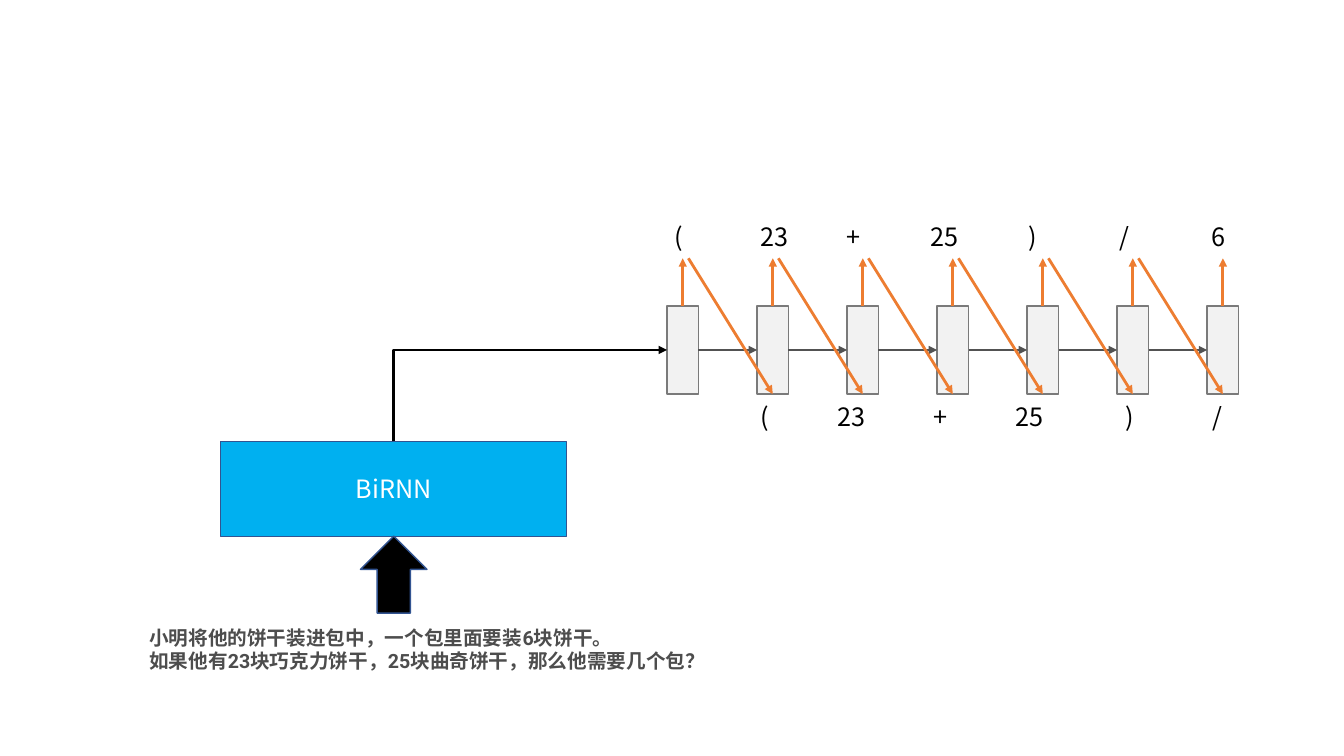
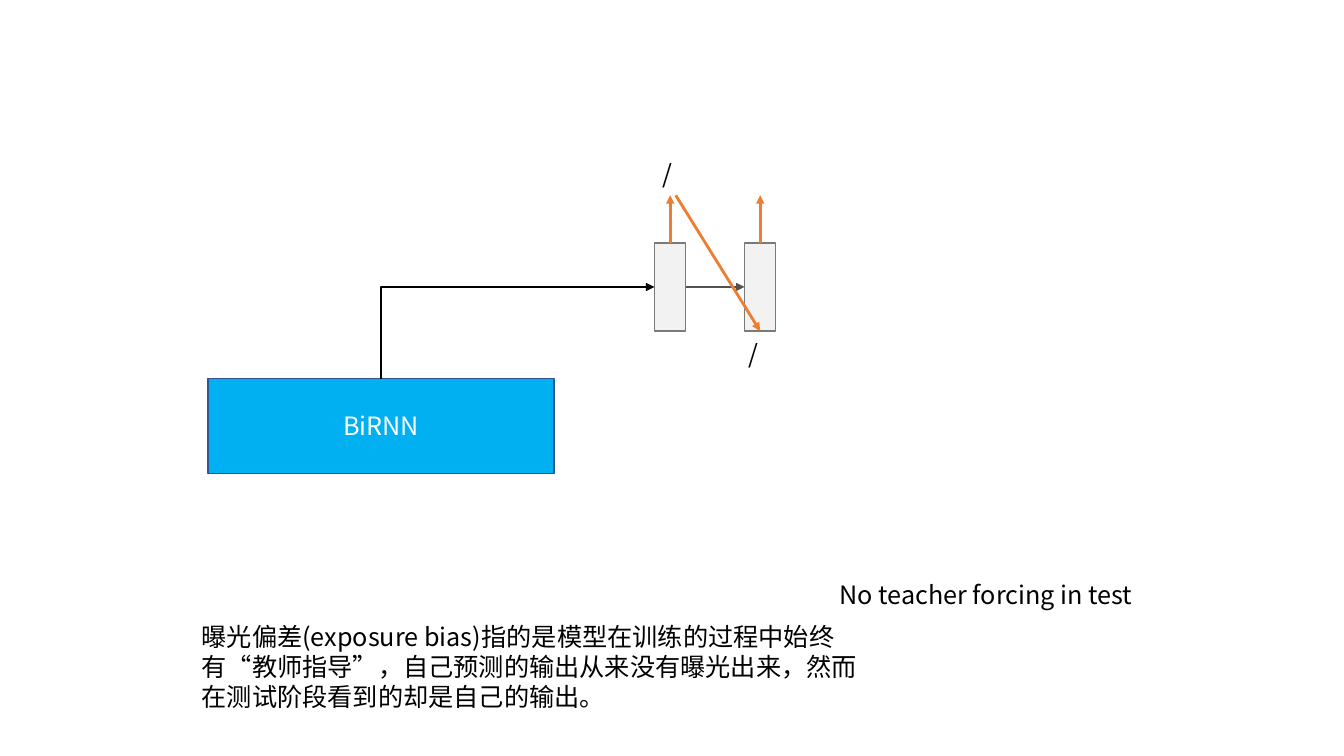
from lxml.etree import SubElement
from pptx import Presentation
from pptx.dml.color import RGBColor
from pptx.enum.lang import MSO_LANGUAGE_ID
from pptx.enum.shapes import MSO_CONNECTOR, MSO_SHAPE
from pptx.enum.text import MSO_ANCHOR, PP_ALIGN
from pptx.oxml.ns import qn
from pptx.util import Pt

BLACK = RGBColor(0x00, 0x00, 0x00)
WHITE = RGBColor(0xFF, 0xFF, 0xFF)
BLUE = RGBColor(0x00, 0xB0, 0xF0)
NAVY = RGBColor(0x32, 0x54, 0x91)
PALE_GRAY = RGBColor(0xF2, 0xF2, 0xF2)
MID_GRAY = RGBColor(0x7A, 0x7A, 0x7A)
DARK_GRAY = RGBColor(0x52, 0x52, 0x52)
TEXT_GRAY = RGBColor(0x4D, 0x4D, 0x4D)
ORANGE = RGBColor(0xED, 0x7D, 0x31)
FONT = "Noto Sans CJK SC"

ENCODER_LEFT, ENCODER_TOP, ENCODER_WIDTH, ENCODER_HEIGHT = 157.7, 315.4, 247, 67.7
CELL_LEFT, CELL_TOP, CELL_WIDTH, CELL_HEIGHT = 476.5, 218.5, 22.4, 63
CELL_STEP = 64.3
ARROW_RISE = 34
TOKEN_WIDTH, TOKEN_HEIGHT = 64, 30
OUTPUT_TOP, INPUT_TOP = 154.5, 283


def write(frame, text, size=18, font=FONT, color=BLACK, bold=False, align=PP_ALIGN.LEFT):
    """Fill a text frame, one paragraph for each line of text."""
    frame.word_wrap = True
    for number, line in enumerate(text.split("\n")):
        para = frame.add_paragraph() if number else frame.paragraphs[0]
        para.alignment = align
        span = para.add_run()
        span.text = line
        span.font.size = Pt(size)
        span.font.bold = bold
        span.font.color.rgb = color
        span.font.name = font
        span.font.language_id = MSO_LANGUAGE_ID.SIMPLIFIED_CHINESE
        properties = span.font._element
        SubElement(properties, qn("a:ea")).set("typeface", FONT)


def style(item, line, width=1, fill=None):
    """Style a filled shape, or an arrow when there is no fill."""
    item.line.color.rgb = line
    item.line.width = Pt(width)
    if fill is not None:
        item.shadow.inherit = False
        item.fill.solid()
        item.fill.fore_color.rgb = fill
    else:
        properties = item._element.spPr
        SubElement(properties.find(qn("a:ln")), qn("a:tailEnd")).set("type", "triangle")
        SubElement(properties, qn("a:effectLst"))


deck = Presentation()
deck.slide_width, deck.slide_height = Pt(960), Pt(540)

# Each diagram: shift right, shift down, cell count, tokens with their centres.
diagrams = [
    (0, 0, 7,
     [("(", 484.5), ("23", 553), ("+", 610), ("25", 674.5), (")", 738), ("/", 803.5), ("6", 870.5)],
     [("(", 546.5), ("23", 608.5), ("+", 671.5), ("25", 735.5), (")", 807), ("/", 869.5)]),
    (-9, -45, 2, [("/", 485.5)], [("/", 547)]),
]

pages = []
for right, down, cell_count, outputs, inputs in diagrams:
    page = deck.slides.add_slide(deck.slide_layouts[6])
    pages.append(page)
    shapes = page.shapes

    encoder = shapes.add_shape(MSO_SHAPE.RECTANGLE, Pt(ENCODER_LEFT + right), Pt(ENCODER_TOP + down),
                               Pt(ENCODER_WIDTH), Pt(ENCODER_HEIGHT))
    style(encoder, NAVY, fill=BLUE)
    encoder.text_frame.vertical_anchor = MSO_ANCHOR.MIDDLE
    write(encoder.text_frame, "BiRNN", color=WHITE, align=PP_ALIGN.CENTER)

    cells = []
    cell_top = CELL_TOP + down
    for index in range(cell_count):
        cell = shapes.add_shape(MSO_SHAPE.RECTANGLE, Pt(CELL_LEFT + right + index * CELL_STEP),
                                Pt(cell_top), Pt(CELL_WIDTH), Pt(CELL_HEIGHT))
        style(cell, MID_GRAY, fill=PALE_GRAY)
        cells.append(cell)

    # The elbow is a quarter-turned bentConnector2: up from the encoder, then right.
    elbow = shapes.add_connector(MSO_CONNECTOR.ELBOW, 0, 0, 0, 0)
    elbow.begin_connect(encoder, 0)
    elbow.end_connect(cells[0], 1)
    run, rise = elbow.width, elbow.height
    elbow.left += (run - rise) // 2
    elbow.top -= (run - rise) // 2
    elbow.width, elbow.height = rise, run
    frame = elbow._element.spPr.find(qn("a:xfrm"))
    for name, value in (("rot", "5400000"), ("flipH", "1"), ("flipV", "1")):
        frame.set(name, value)
    elbow._element.spPr.find(qn("a:prstGeom")).set("prst", "bentConnector2")
    style(elbow, BLACK, 2)

    for index, cell in enumerate(cells):
        center = Pt(CELL_LEFT + right + index * CELL_STEP + CELL_WIDTH / 2)
        tip = Pt(cell_top - ARROW_RISE)
        output_arrow = shapes.add_connector(MSO_CONNECTOR.STRAIGHT, center, Pt(cell_top), center, tip)
        output_arrow.begin_connect(cell, 0)
        style(output_arrow, ORANGE, 2)
        if index + 1 < cell_count:
            following = cells[index + 1]
            state_arrow = shapes.add_connector(MSO_CONNECTOR.STRAIGHT, 0, 0, 0, 0)
            state_arrow.begin_connect(cell, 3)
            state_arrow.end_connect(following, 1)
            style(state_arrow, DARK_GRAY, 2)
            feedback_arrow = shapes.add_connector(MSO_CONNECTOR.STRAIGHT, center + Pt(4), tip,
                                                  following.left, following.top)
            feedback_arrow.end_connect(following, 2)
            style(feedback_arrow, ORANGE, 2)

    for top, tokens in ((OUTPUT_TOP, outputs), (INPUT_TOP, inputs)):
        for token, center in tokens:
            box = shapes.add_textbox(Pt(center + right - TOKEN_WIDTH / 2), Pt(top + down),
                                     Pt(TOKEN_WIDTH), Pt(TOKEN_HEIGHT))
            write(box.text_frame, token, align=PP_ALIGN.CENTER)

training, testing = pages

question_arrow = training.shapes.add_shape(MSO_SHAPE.UP_ARROW, Pt(257.5), Pt(383), Pt(47.5), Pt(55))
style(question_arrow, NAVY, fill=BLACK)

question = training.shapes.add_textbox(Pt(99.5), Pt(443.5), Pt(556), Pt(41))
write(question.text_frame,
      "小明将他的饼干装进包中，一个包里面要装6块饼干。\n"
      "如果他有23块巧克力饼干，25块曲奇饼干，那么他需要几个包？",
      size=14, font="Roboto", color=TEXT_GRAY, bold=True)

remark = testing.shapes.add_textbox(Pt(592.5), Pt(410.5), Pt(302), Pt(29))
write(remark.text_frame, "No teacher forcing in test")

explanation = testing.shapes.add_textbox(Pt(137), Pt(440), Pt(488), Pt(73))
write(explanation.text_frame,
      "曝光偏差(exposure bias)指的是模型在训练的过程中始终有“教师指导”，"
      "自己预测的输出从来没有曝光出来，然而在测试阶段看到的却是自己的输出。")

deck.save("out.pptx")
